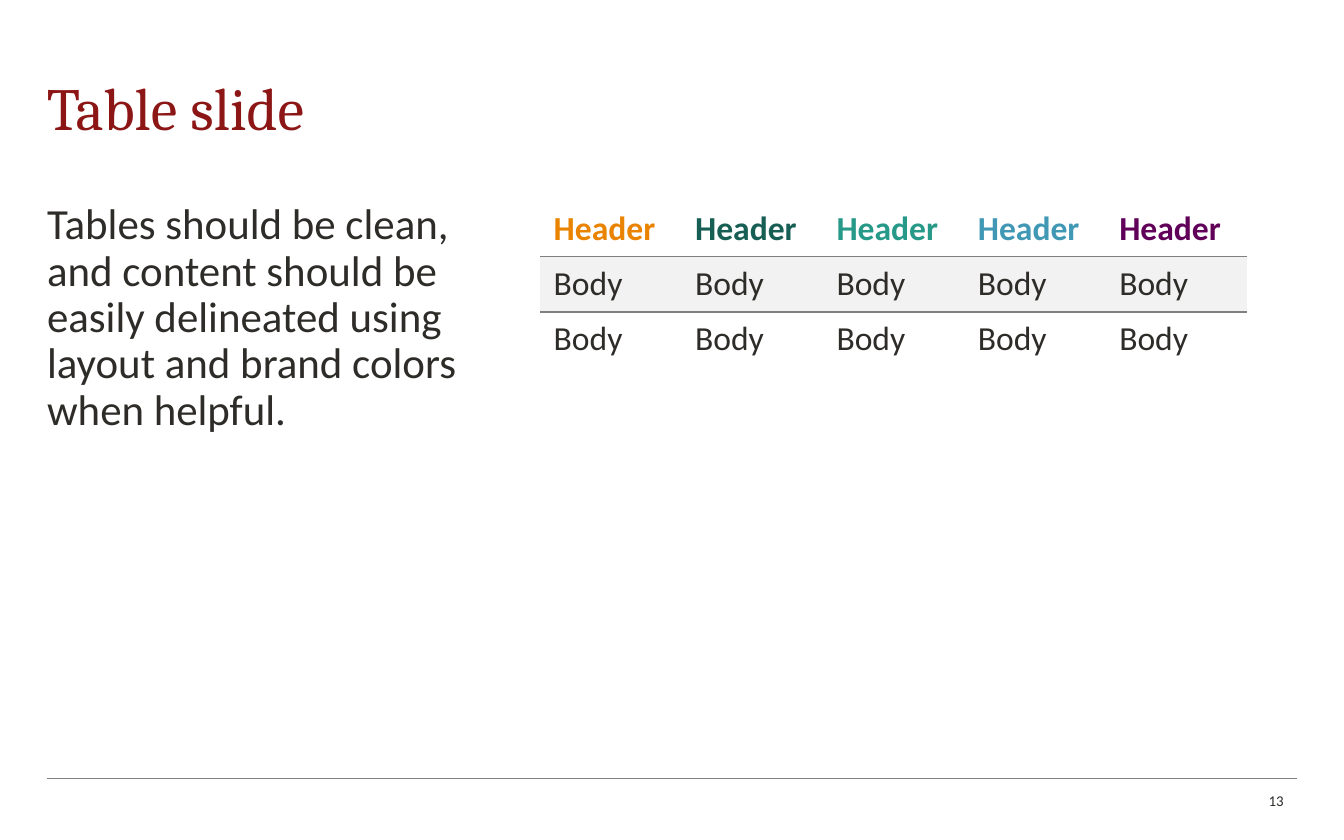
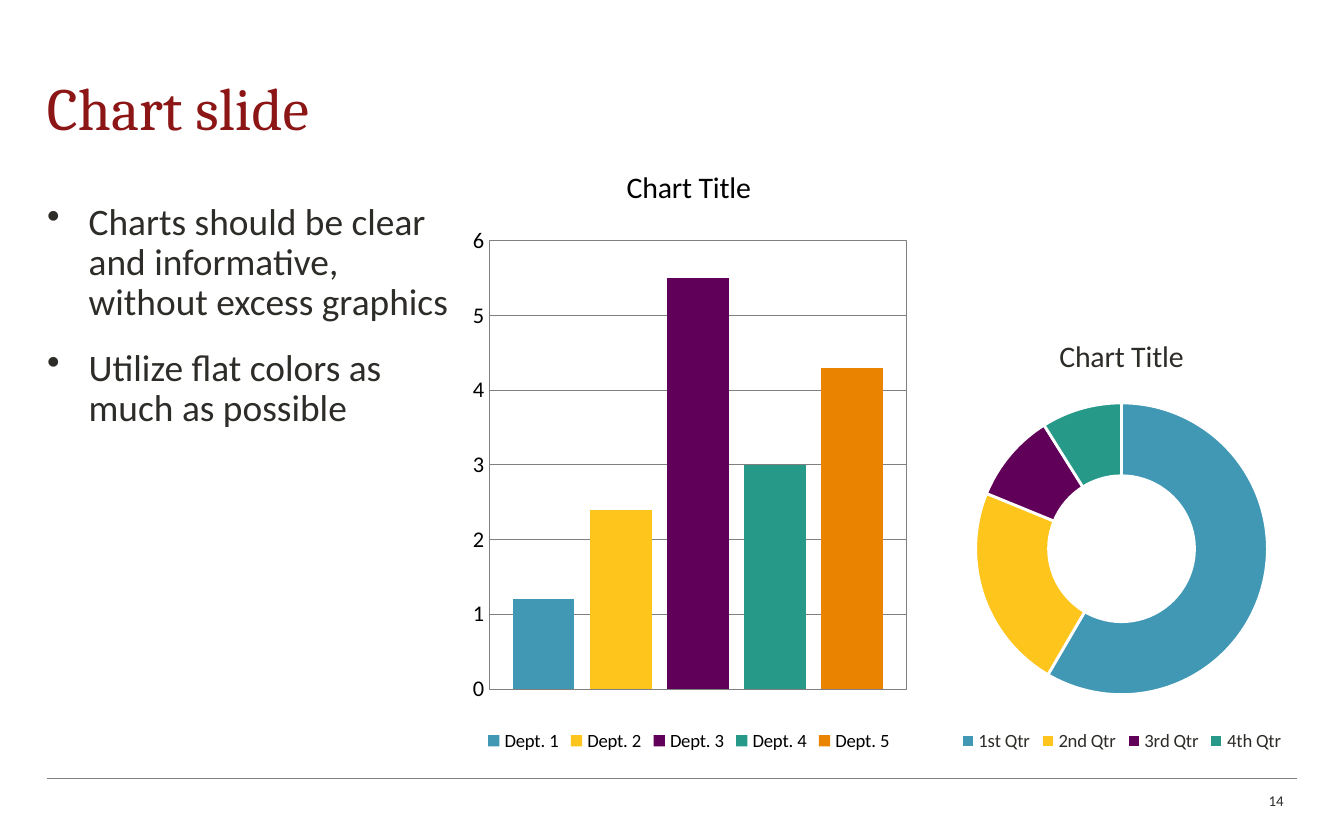
from dataclasses import dataclass
from lxml.etree import SubElement
from pptx import Presentation
from pptx.chart.data import CategoryChartData
from pptx.dml.color import RGBColor
from pptx.enum.chart import XL_CHART_TYPE, XL_LEGEND_POSITION, XL_TICK_MARK
from pptx.enum.shapes import MSO_CONNECTOR
from pptx.enum.text import MSO_ANCHOR, PP_ALIGN
from pptx.oxml import parse_xml
from pptx.oxml.ns import nsdecls, qn
from pptx.util import Inches, Pt


@dataclass(frozen=True)
class Theme:
    red: str = "8C1515"
    ink: str = "2E2C28"
    black: str = "000000"
    white: str = "FFFFFF"
    rule: str = "808080"
    band: str = "F2F2F2"
    blue: str = "4198B5"
    gold: str = "FEC51D"
    plum: str = "610059"
    teal: str = "279989"
    orange: str = "E98300"
    pine: str = "175E54"
    head: str = "Cambria"
    body: str = "Calibri"
    title: int = 32
    lead: int = 23
    list: int = 20
    cell: int = 18
    chart: int = 16
    axis: int = 12
    key: int = 10
    page: int = 8


theme = Theme()


def write(frame, text, size, color=theme.ink, font=theme.body, bold=False,
          align=None, line=None, bullet=False, before=0, after=0):
    items = [text] if isinstance(text, str) else text
    for i, item in enumerate(items):
        para = frame.paragraphs[0] if i == 0 else frame.add_paragraph()
        if align is not None:
            para.alignment = align
        if line:
            para.line_spacing = line
        if i:
            para.space_before = Pt(before)
        if after:
            para.space_after = Pt(after)
        if bullet:
            props = para._p.get_or_add_pPr()
            props.set("marL", str(Inches(0.31)))
            props.set("indent", str(Inches(-0.31)))
            SubElement(props, qn("a:buChar")).set("char", "•")
        run = para.add_run()
        run.text = item
        run.font.size = Pt(size)
        run.font.name = font
        run.font.bold = bold
        run.font.color.rgb = RGBColor.from_string(color)


def box(slide, place, anchor=MSO_ANCHOR.TOP, side=0):
    frame = slide.shapes.add_textbox(*map(Inches, place)).text_frame
    frame.word_wrap = True
    frame.vertical_anchor = anchor
    frame.margin_left = frame.margin_right = Inches(side)
    return frame


deck = Presentation()
deck.slide_width = Inches(10)
deck.slide_height = Inches(6.25)

slides = []
for title, page in (("Table slide", "13"), ("Chart slide", "14")):
    slide = deck.slides.add_slide(deck.slide_layouts[6])
    rule = slide.shapes.add_connector(
        MSO_CONNECTOR.STRAIGHT, Inches(0.35), Inches(5.79), Inches(9.65), Inches(5.79))
    rule.line.color.rgb = RGBColor.from_string(theme.rule)
    rule.line.width = Pt(0.25)
    SubElement(rule._element.spPr, qn("a:effectLst"))
    write(box(slide, (0.35, 0.33, 9.3, 1), MSO_ANCHOR.MIDDLE), title,
          size=theme.title, color=theme.red, font=theme.head, line=0.9)
    write(box(slide, (7.4, 5.79, 2.25, 0.33), MSO_ANCHOR.MIDDLE, 0.1), page,
          size=theme.page, align=PP_ALIGN.RIGHT)
    slides.append(slide)

first, second = slides

write(box(first, (0.35, 1.46, 3.31, 4.17)),
      "Tables should be clean, and content should be easily delineated "
      "using layout and brand colors when helpful.",
      size=theme.lead, line=0.9)

heads = (theme.orange, theme.pine, theme.teal, theme.blue, theme.plum)
table = first.shapes.add_table(
    3, len(heads), Inches(4.02), Inches(1.5), Inches(5.26), Inches(1.22)).table
table.first_row = table.horz_banding = False
table._tbl.tblPr.find(qn("a:tableStyleId")).text = "{2D5ABB26-0587-4C30-8999-92F81FD0307C}"
edges = (("lnB",), ("lnT", "lnB"), ("lnT",))
for row, sides in enumerate(edges):
    table.rows[row].height = Inches(0.41)
    for col, hue in enumerate(heads):
        cell = table.cell(row, col)
        top = row == 0
        cell.vertical_anchor = MSO_ANCHOR.BOTTOM if top else MSO_ANCHOR.MIDDLE
        write(cell.text_frame, "Header" if top else "Body", size=theme.cell,
              color=hue if top else theme.ink, bold=top)
        if row == 1:
            cell.fill.solid()
            cell.fill.fore_color.rgb = RGBColor.from_string(theme.band)
        else:
            cell.fill.background()
        props = cell._tc.get_or_add_tcPr()
        for spot, side in enumerate(sides):
            props.insert(spot, parse_xml(
                f'<a:{side} {nsdecls("a")} w="12700"><a:solidFill>'
                f'<a:srgbClr val="{theme.rule}"/></a:solidFill></a:{side}>'))

write(box(second, (0.35, 1.46, 3.09, 4.17)),
      ["Charts should be clear and informative, without excess graphics",
       "Utilize flat colors as much as possible"],
      size=theme.list, line=0.9, bullet=True, before=7.5, after=6)

hues = (theme.blue, theme.gold, theme.plum, theme.teal, theme.orange)
bars = CategoryChartData()
bars.categories = ["1"]
for num, value in enumerate((1.2, 2.4, 5.5, 3, 4.3), 1):
    bars.add_series(f"Dept. {num}", [value])
ring = CategoryChartData()
ring.categories = ["1st Qtr", "2nd Qtr", "3rd Qtr", "4th Qtr"]
ring.add_series("Series 1", (59, 23, 10, 9))

charts = (
    (XL_CHART_TYPE.COLUMN_CLUSTERED, bars, (3.44, 1.06, 3.37, 4.57),
     theme.black, (0.06, 0.16, 0.92, 0.73)),
    (XL_CHART_TYPE.DOUGHNUT, ring, (6.39, 2.34, 3.91, 3.29),
     theme.ink, (0.22, 0.2, 0.56, 0.66)),
)
for kind, data, place, color, inner in charts:
    chart = second.shapes.add_chart(kind, *map(Inches, place), data).chart
    chart.font.name = theme.body
    chart.font.size = Pt(theme.key)
    chart.has_title = True
    write(chart.chart_title.text_frame, "Chart Title", size=theme.chart, color=color)
    chart.chart_title.include_in_layout = False
    chart.has_legend = True
    legend = chart.legend
    legend.position = XL_LEGEND_POSITION.BOTTOM
    legend.include_in_layout = False
    legend.font.name = theme.body
    legend.font.size = Pt(theme.key)
    legend.font.color.rgb = RGBColor.from_string(color)

    area = chart._chartSpace.chart.plotArea
    for old in area.findall(qn("c:layout")):
        area.remove(old)
    sizes = "".join(f'<c:{tag} val="{val}"/>' for tag, val in zip("xywh", inner))
    area.insert(0, parse_xml(
        f'<c:layout {nsdecls("c")}><c:manualLayout><c:layoutTarget val="inner"/>'
        f'<c:xMode val="edge"/><c:yMode val="edge"/>{sizes}</c:manualLayout></c:layout>'))

    plot = chart.plots[0]
    if kind == XL_CHART_TYPE.DOUGHNUT:
        plot.vary_by_categories = True
        parts = [plot.series[0].points[i] for i in range(4)]
        for part in parts:
            part.format.line.color.rgb = RGBColor.from_string(theme.white)
            part.format.line.width = Pt(1.5)
    else:
        plot.vary_by_categories = False
        plot.gap_width = 75
        plot.overlap = -25
        parts = plot.series
        chart.category_axis.visible = False
        axis = chart.value_axis
        axis.minimum_scale = 0
        axis.maximum_scale = 6
        axis.major_unit = 1
        axis.major_tick_mark = axis.minor_tick_mark = XL_TICK_MARK.NONE
        axis.format.line.fill.background()
        axis.tick_labels.font.name = theme.body
        axis.tick_labels.font.size = Pt(theme.axis)
        axis.tick_labels.font.color.rgb = RGBColor.from_string(theme.black)
        grid = axis.major_gridlines.format.line
        grid.color.rgb = RGBColor.from_string(theme.rule)
        grid.width = Pt(0.25)
        area.append(parse_xml(
            f'<c:spPr {nsdecls("c", "a")}><a:noFill/><a:ln w="3175"><a:solidFill>'
            f'<a:srgbClr val="{theme.rule}"/></a:solidFill></a:ln></c:spPr>'))
    for part, hue in zip(parts, hues):
        part.format.fill.solid()
        part.format.fill.fore_color.rgb = RGBColor.from_string(hue)

deck.save("out.pptx")
